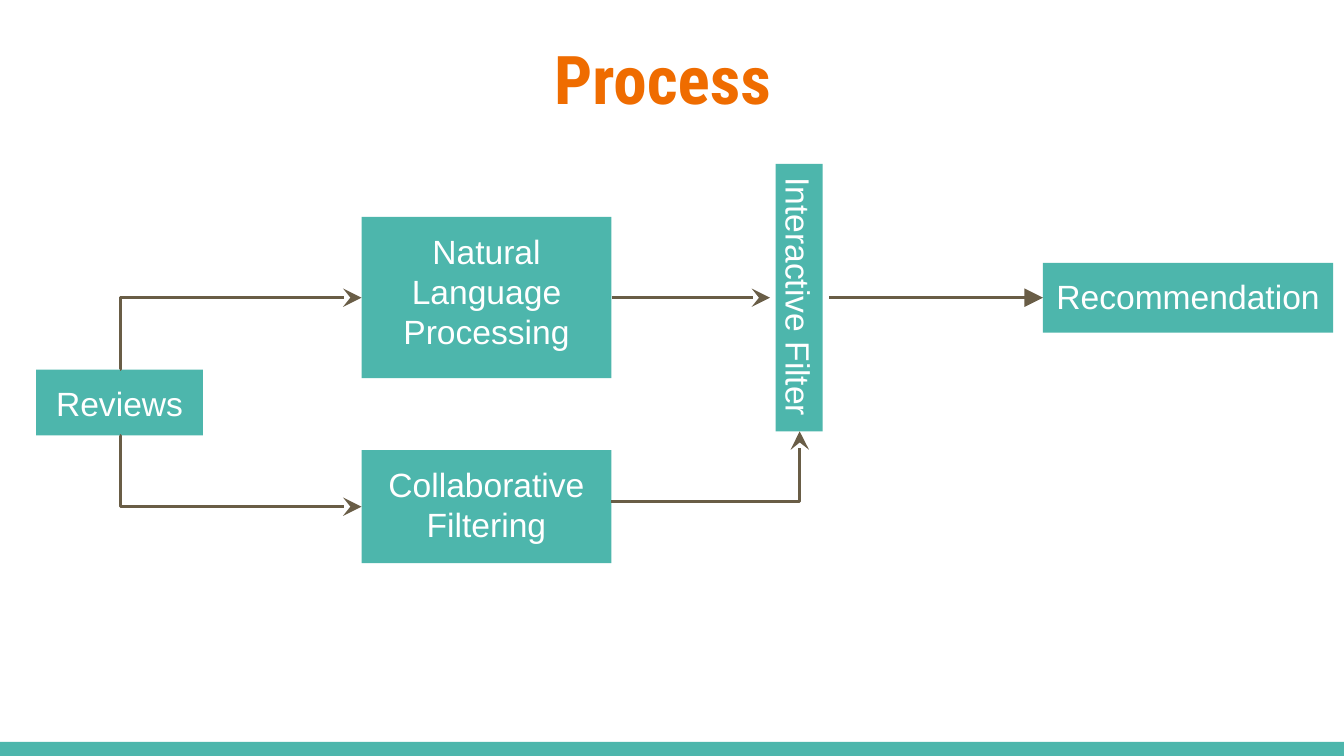
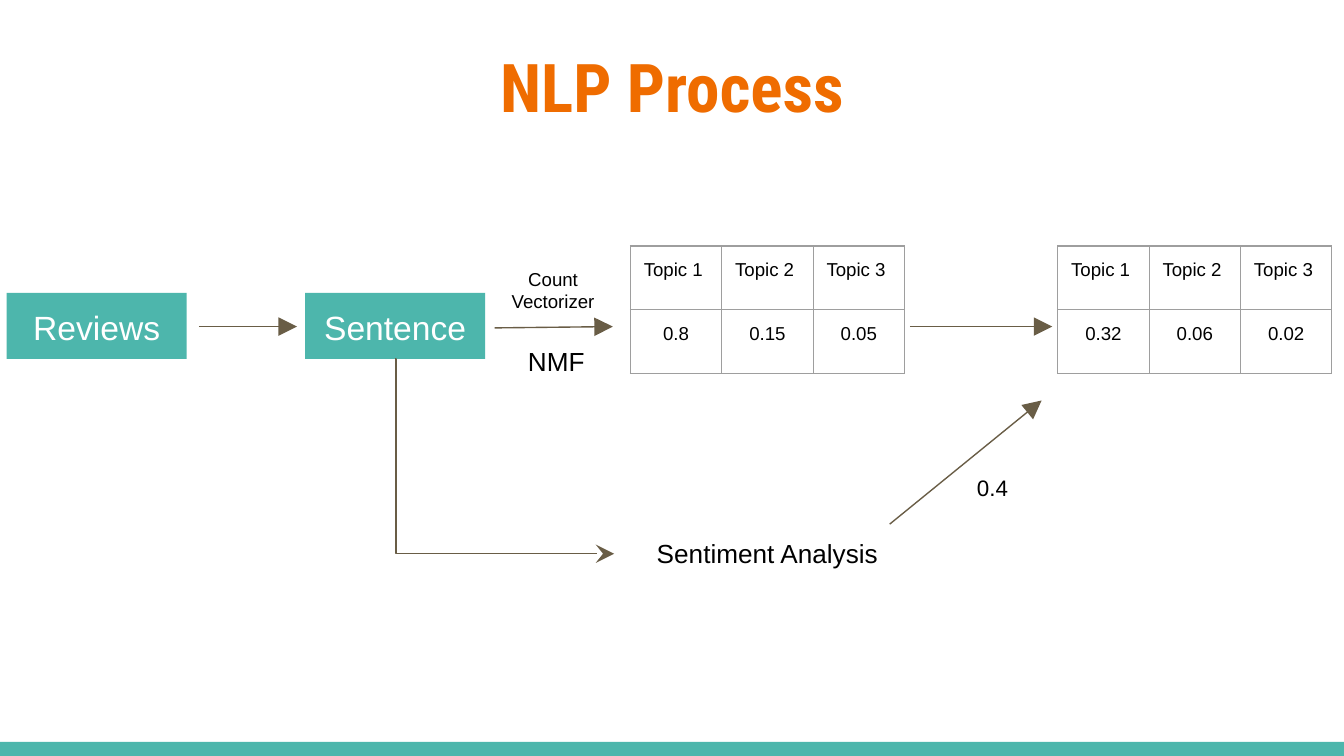
from typing import NamedTuple, Optional

from pptx import Presentation
from pptx.dml.color import RGBColor
from pptx.enum.shapes import MSO_CONNECTOR as Connector
from pptx.enum.shapes import MSO_SHAPE as Preset
from pptx.enum.text import MSO_ANCHOR as Anchor
from pptx.enum.text import PP_ALIGN as Align
from pptx.oxml.ns import qn
from pptx.oxml.xmlchemy import OxmlElement
from pptx.util import Emu, Inches, Pt

TEAL = RGBColor(0x4D, 0xB6, 0xAC)
ORANGE = RGBColor(0xEF, 0x6C, 0x00)
BROWN = RGBColor(0x69, 0x5D, 0x46)
GRAY = RGBColor(0x9E, 0x9E, 0x9E)
BLACK = RGBColor(0, 0, 0)
WHITE = RGBColor(255, 255, 255)

BODY_FONT = "Arial"
TITLE_FONT = "Roboto Condensed"

# The slide is a grid of square cells, 100 columns by 56.25 rows.
COLUMNS, ROWS = 100, 56.25
CELL = Inches(0.1)
INSET = Inches(0.1)

# Where an elbow turns, in 1/100000 of its width
TURN_AT_START, TURN_AT_END = 400, 100100


class Area(NamedTuple):
    left: float
    top: float
    width: float
    height: float


class Box(NamedTuple):
    text: str
    area: Area
    rotation: int = 0
    align: Align = Align.CENTER
    anchor: Anchor = Anchor.TOP


class Label(NamedTuple):
    text: str
    area: Area
    size: float
    align: Align = Align.CENTER
    font: str = BODY_FONT
    color: RGBColor = BLACK
    bold: bool = False


class Arrow(NamedTuple):
    start: tuple[float, float]
    end: tuple[float, float]
    head: str = "triangle"
    turn: Optional[int] = None


class TopicTable(NamedTuple):
    left: float
    weights: tuple[str, str, str]


def cells(count: float) -> Emu:
    return Emu(round(count * CELL))


def place(area: Area) -> list[Emu]:
    return [cells(count) for count in area]


def write(text_frame, text: str, size: float, color: RGBColor, align: Align,
          font: str = BODY_FONT, bold: bool = False) -> None:
    text_frame.text = text
    for paragraph in text_frame.paragraphs:
        paragraph.alignment = align
        for run in paragraph.runs:
            run.font.name = font
            run.font.size = Pt(size)
            run.font.bold = bold
            run.font.color.rgb = color


def set_frame(text_frame, anchor: Anchor = Anchor.TOP) -> None:
    text_frame.word_wrap = True
    text_frame.vertical_anchor = anchor
    text_frame.margin_left = text_frame.margin_right = INSET
    text_frame.margin_top = text_frame.margin_bottom = INSET


def add_rectangle(slide, area: Area):
    shape = slide.shapes.add_shape(Preset.RECTANGLE, *place(area))
    shape.shadow.inherit = False
    shape.fill.solid()
    shape.fill.fore_color.rgb = TEAL
    shape.line.fill.background()
    return shape


def add_box(slide, box: Box):
    shape = add_rectangle(slide, box.area)
    shape.rotation = box.rotation
    set_frame(shape.text_frame, box.anchor)
    write(shape.text_frame, box.text, 18, WHITE, box.align)
    return shape


def add_label(slide, label: Label) -> None:
    text_frame = slide.shapes.add_textbox(*place(label.area)).text_frame
    set_frame(text_frame)
    write(text_frame, label.text, label.size, label.color, label.align,
          label.font, label.bold)


def add_arrow(slide, arrow: Arrow, width: float):
    kind = Connector.STRAIGHT if arrow.turn is None else Connector.ELBOW
    ends = [cells(count) for count in arrow.start + arrow.end]
    connector = slide.shapes.add_connector(kind, *ends)
    connector.line.color.rgb = BROWN
    connector.line.width = Pt(width)
    tail = OxmlElement("a:tailEnd")
    tail.set("type", arrow.head)
    tail.set("w", "lg")
    tail.set("len", "lg")
    properties = connector.element.spPr
    properties.find(qn("a:ln")).append(tail)
    properties.append(OxmlElement("a:effectLst"))
    if arrow.turn is not None:
        geometry = properties.find(qn("a:prstGeom"))
        adjustments = geometry.find(qn("a:avLst"))
        if adjustments is None:
            adjustments = OxmlElement("a:avLst")
            geometry.append(adjustments)
        guide = OxmlElement("a:gd")
        guide.set("name", "adj1")
        guide.set("fmla", f"val {arrow.turn}")
        adjustments.append(guide)
    return connector


def add_borders(cell) -> None:
    properties = cell._tc.get_or_add_tcPr()
    for side in ("a:lnL", "a:lnR", "a:lnT", "a:lnB"):
        line = OxmlElement(side)
        line.set("w", str(Pt(0.75)))
        fill = OxmlElement("a:solidFill")
        color = OxmlElement("a:srgbClr")
        color.set("val", str(GRAY))
        fill.append(color)
        line.append(fill)
        properties.append(line)


def add_topic_table(slide, topics: TopicTable) -> None:
    headings = [f"Topic {number}" for number in (1, 2, 3)]
    rows = [(headings, Align.LEFT), (topics.weights, Align.CENTER)]
    area = Area(topics.left, 18.3, 20.4, 9.5)
    table = slide.shapes.add_table(len(rows), len(headings), *place(area)).table
    table.first_row = table.horz_banding = False
    for row, (texts, align) in enumerate(rows):
        for column, text in enumerate(texts):
            cell = table.cell(row, column)
            cell.margin_left = cell.margin_right = INSET
            cell.margin_top = cell.margin_bottom = INSET
            add_borders(cell)
            cell.fill.background()
            write(cell.text_frame, text, 10, BLACK, align)


def add_slide(presentation, title: str, left: float, top: float):
    """Add a slide with the footer band and a title at the given cell."""
    slide = presentation.slides.add_slide(presentation.slide_layouts[6])
    slide.background.fill.solid()
    slide.background.fill.fore_color.rgb = WHITE
    add_rectangle(slide, Area(0, ROWS - 1.05, COLUMNS, 1.05))
    add_label(slide, Label(title, Area(left, top, 73.8, 7.2), 36,
                           font=TITLE_FONT, color=ORANGE, bold=True))
    return slide


def build_process(presentation) -> None:
    slide = add_slide(presentation, "Process", 12.4, 1.8)
    boxes = [
        Box("Reviews", Area(2.7, 27.5, 12.4, 4.9)),
        Box("Natural Language Processing", Area(26.9, 16.15, 18.6, 12)),
        Box("Collaborative\nFiltering", Area(26.9, 33.5, 18.6, 8.4)),
        Box("Interactive Filter", Area(49.5, 20.4, 19.9, 3.5), 90,
            Align.LEFT, Anchor.MIDDLE),
        Box("Recommendation", Area(77.6, 19.55, 21.6, 5.2)),
    ]
    _, language, _, _, recommendation = [add_box(slide, box) for box in boxes]

    flow = 22.15
    arrows = [
        Arrow((45.5, flow), (57.3, flow), "stealth"),
        Arrow((61.7, flow), (77.6, flow)),
        Arrow((8.9, 27.5), (26.9, flow), "stealth", TURN_AT_START),
        Arrow((8.9, 32.4), (26.9, 37.7), "stealth", TURN_AT_START),
        Arrow((45.5, 37.3), (59.5, 32.1), "stealth", TURN_AT_END),
    ]
    to_filter, to_result, *_ = [add_arrow(slide, arrow, 1.5) for arrow in arrows]
    to_filter.begin_connect(language, 3)
    to_result.end_connect(recommendation, 1)


def build_nlp_process(presentation) -> None:
    slide = add_slide(presentation, "NLP Process", 13.1, 2.4)
    for text, left in (("Reviews", 0.5), ("Sentence", 22.7)):
        add_box(slide, Box(text, Area(left, 21.8, 13.4, 4.9)))

    tables = [
        TopicTable(46.9, ("0.8", "0.15", "0.05")),
        TopicTable(78.7, ("0.32", "0.06", "0.02")),
    ]
    for topics in tables:
        add_topic_table(slide, topics)

    labels = [
        Label("Count Vectorizer", Area(36.8, 18.9, 8.7, 2.5), 10),
        Label("NMF", Area(38.3, 24.7, 7.2, 2.5), 14, Align.LEFT),
        Label("Sentiment Analysis", Area(46.9, 39, 20.4, 5.4), 14),
        Label("0.4", Area(70.6, 34.3, 6.5, 4.1), 12),
    ]
    for label in labels:
        add_label(slide, label)

    flow = 24.3
    arrows = [
        Arrow((14.8, flow), (22.1, flow)),
        Arrow((36.8, 24.4), (45.6, flow)),
        Arrow((67.7, flow), (78.3, flow)),
        Arrow((66.2, 39), (77.5, 29.8)),
        Arrow((29.4, 26.7), (45.7, 41.2), "stealth", TURN_AT_START),
    ]
    for arrow in arrows:
        add_arrow(slide, arrow, 0.75)


def main() -> None:
    presentation = Presentation()
    presentation.slide_width = cells(COLUMNS)
    presentation.slide_height = cells(ROWS)
    build_process(presentation)
    build_nlp_process(presentation)
    presentation.save("out.pptx")


if __name__ == "__main__":
    main()
